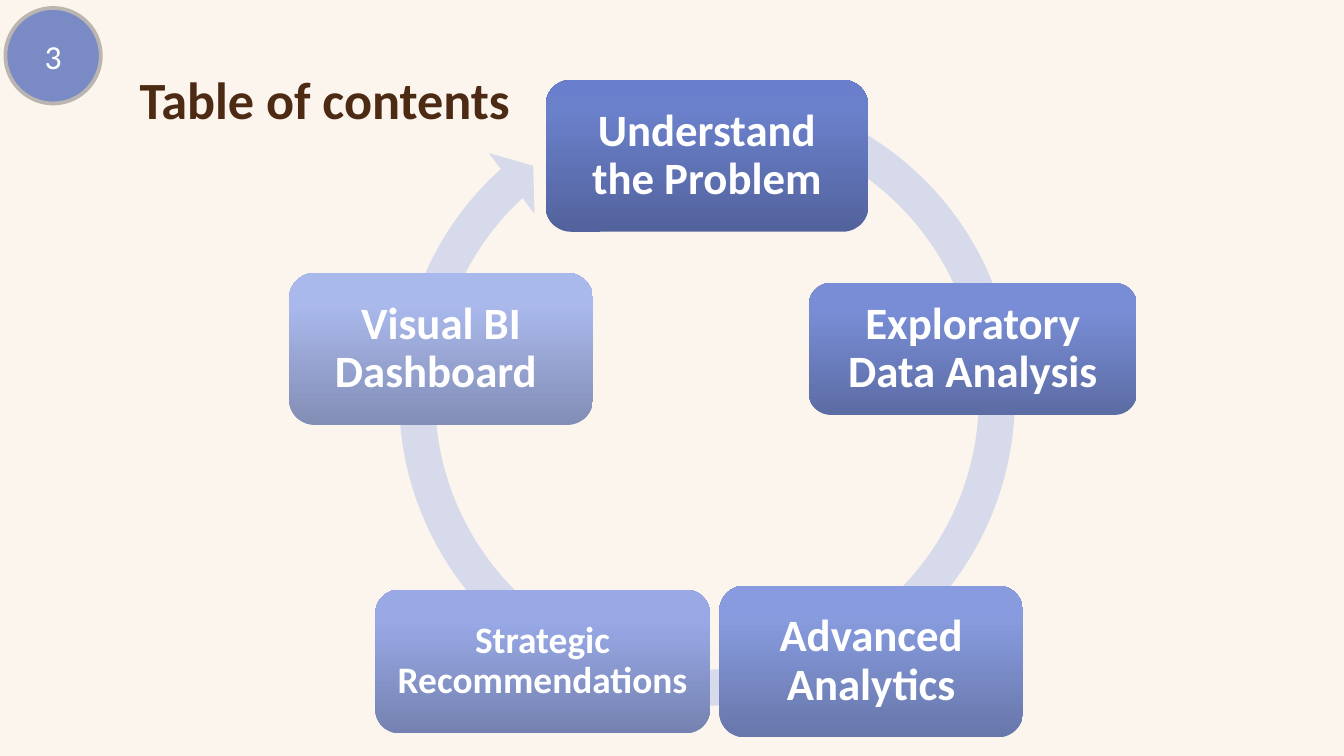
from copy import deepcopy
from math import cos, radians, sin

from pptx import Presentation
from pptx.dml.color import RGBColor
from pptx.enum.shapes import MSO_SHAPE as SHAPE
from pptx.enum.text import MSO_ANCHOR as ANCHOR, PP_ALIGN as ALIGN
from pptx.util import Inches, Pt

# Grid: 100 columns by 56.25 rows of square cells
CELL = Inches(0.1)
COLS, ROWS = 100, 56.25

TITLE_BOX = (9.4, 4.5, 80, 4.4)
BADGE_BOX = (0.4, 0.6, 7.1, 7.1)
CYCLE_BOX = (28.2, 5.2, 48.8, 48.8)

RING_ADJUSTMENTS = (0.055, 3.307, 136.598, 174.571, 0.058)
STEP_RADIUS = 20.8
STEP_DROP = 2.8  # the steps circle a point this far below the ring's centre

# text, width, height, text size, inset, gradient colours from bottom to top
STEPS = [
    ("Understand the Problem", 24, 11.3, 24, 1, ("52629C", "6A80CA", "697FCD")),
    ("Exploratory Data Analysis", 24.4, 9.8, 24, 1, ("5C6CA4", "788DD5", "778CD8")),
    ("Advanced Analytics", 22.6, 11.3, 24, 1, ("6877AB", "879BDE", "869AE1")),
    ("Strategic Recommendations", 24.9, 10.7, 20, 0.8, ("7582B1", "98A9E6", "97A9E9")),
    ("Visual BI Dashboard ", 22.6, 11.3, 24, 1, ("838EB6", "AAB9EC", "A9B9EF")),
]
GRADIENT_POSITIONS = (0, 0.8, 1)


def rgb(color):
    return RGBColor.from_string(color)


def cells(*lengths):
    return [round(n * CELL) for n in lengths]


def add_shape(slide, kind, box, fill=None):
    """Add a shape without outline or shadow; box is in grid cells."""
    sp = slide.shapes.add_shape(kind, *cells(*box))
    sp.shadow.inherit = False
    sp.line.fill.background()
    if fill:
        sp.fill.solid()
        sp.fill.fore_color.rgb = rgb(fill)
    return sp


def set_text(sp, text, color, align=None, spacing=None, **font):
    p = sp.text_frame.paragraphs[0]
    p.alignment = align
    p.line_spacing = spacing
    r = p.add_run()
    r.text = text
    r.font.color.rgb = rgb(color)
    for name, value in {"name": "Calibri", **font}.items():
        setattr(r.font, name, value)


def set_gradient(fill, colors):
    fill.gradient()
    fill.gradient_angle = 90
    last = fill.gradient_stops[-1]._gs
    last.addprevious(deepcopy(last))
    for stop, position, color in zip(fill.gradient_stops, GRADIENT_POSITIONS, colors):
        stop.position = position
        stop.color.rgb = rgb(color)


def add_title(slide, box):
    sp = slide.shapes.add_textbox(*cells(*box))
    sp.text_frame.word_wrap = True
    set_text(sp, "Table of contents", "4C2A13", size=Pt(28), bold=True)


def add_step(slide, center, step):
    text, width, height, size, inset, colors = step
    x, y = center
    sp = add_shape(slide, SHAPE.ROUNDED_RECTANGLE,
                   (x - width / 2, y - height / 2, width, height))
    set_gradient(sp.fill, colors)
    tf = sp.text_frame
    margin, = cells(inset)
    frame = {"word_wrap": True, "vertical_anchor": ANCHOR.MIDDLE}
    frame.update({f"margin_{side}": margin for side in ("left", "top", "right", "bottom")})
    for name, value in frame.items():
        setattr(tf, name, value)
    set_text(sp, text, "FFFFFF", ALIGN.CENTER, 0.9, size=Pt(size), bold=True)


def add_cycle(slide, box):
    """Draw the ring arrow and space the steps evenly, clockwise from the top."""
    left, top, width, height = box
    ring = add_shape(slide, SHAPE.CIRCULAR_ARROW, box, "D7DAEA")
    for i, value in enumerate(RING_ADJUSTMENTS):
        ring.adjustments[i] = value
    x, y = left + width / 2, top + height / 2 + STEP_DROP
    for i, step in enumerate(STEPS):
        angle = radians(360 / len(STEPS) * i)
        center = x + STEP_RADIUS * sin(angle), y - STEP_RADIUS * cos(angle)
        add_step(slide, center, step)


def add_page_badge(slide, box, number):
    sp = add_shape(slide, SHAPE.OVAL, box, "798AC5")
    sp.line.color.rgb = rgb("BAB5B0")
    sp.line.width = Pt(2)
    sp.text_frame.vertical_anchor = ANCHOR.MIDDLE
    set_text(sp, str(number), "FFFFFF", ALIGN.CENTER, size=Pt(18))


def main():
    prs = Presentation()
    prs.slide_width, prs.slide_height = cells(COLS, ROWS)
    slide = prs.slides.add_slide(prs.slide_layouts[6])
    slide.background.fill.solid()
    slide.background.fill.fore_color.rgb = rgb("FCF5EE")
    add_title(slide, TITLE_BOX)
    add_cycle(slide, CYCLE_BOX)
    add_page_badge(slide, BADGE_BOX, 3)
    prs.save("out.pptx")


if __name__ == "__main__":
    main()
